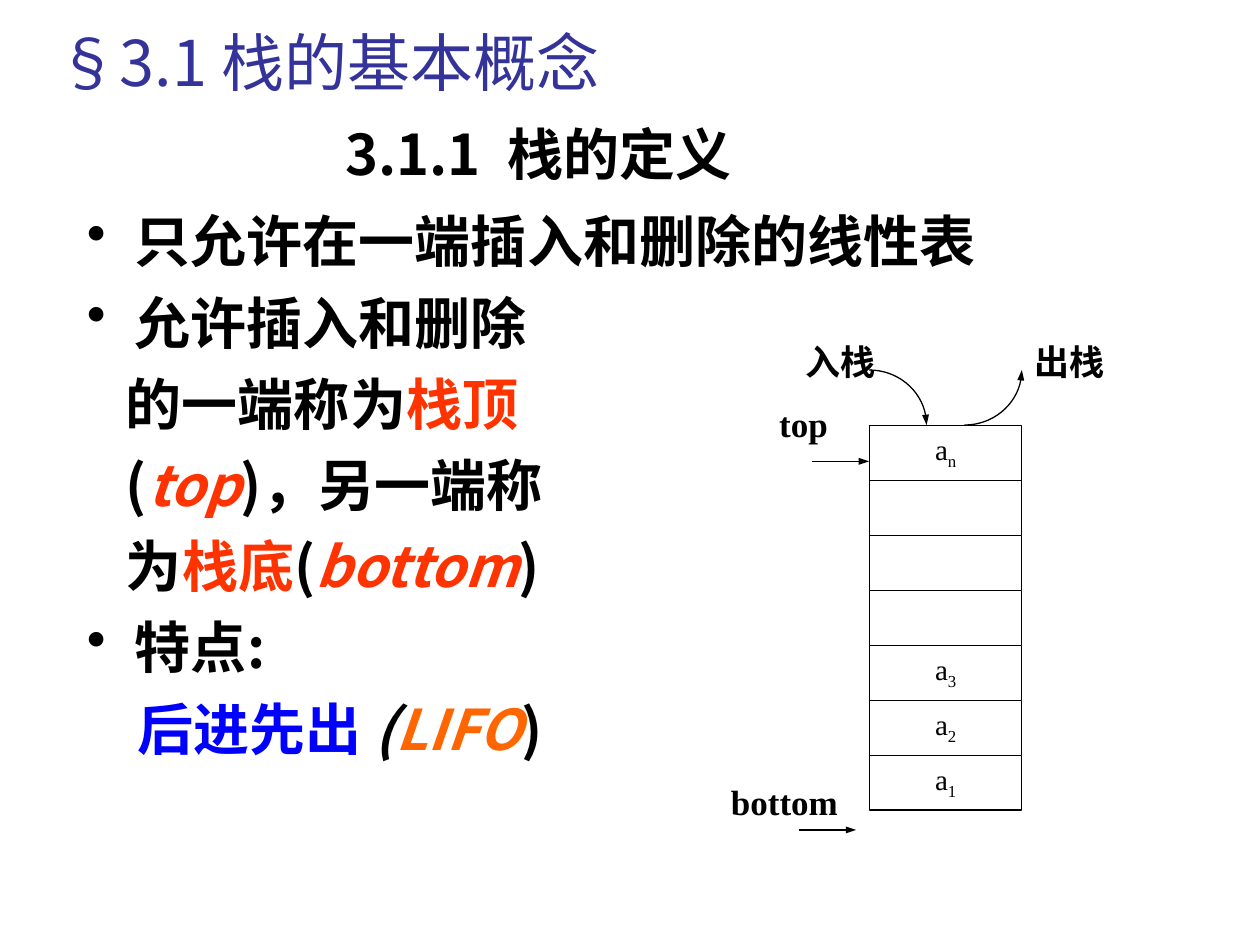
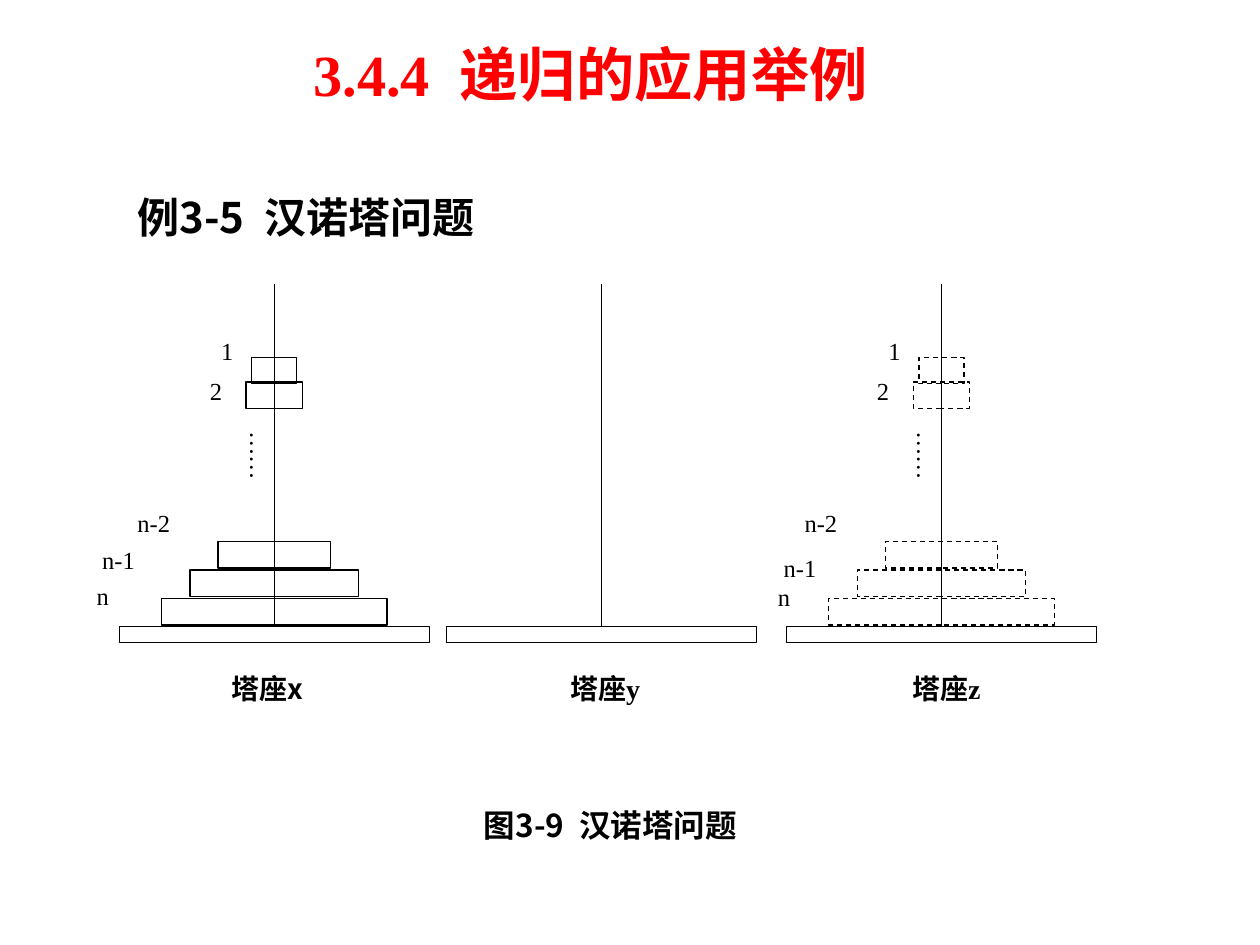
import math
from dataclasses import dataclass
from typing import Optional

from lxml import etree
from pptx import Presentation
from pptx import util as u
from pptx.dml import color
from pptx.enum import dml, shapes, text
from pptx.oxml import ns

Cm, Pt = u.Cm, u.Pt
COLORS = {
    "black": "000000", "white": "FFFFFF", "title": "333399", "red": "FF0000",
    "term": "FF3300", "blue": "0000FF", "orange": "FF6600",
}
SANS, SANS_JP, SERIF = "Noto Sans CJK SC", "Noto Sans CJK JP", "Times New Roman"
LEFT, CENTER = text.PP_ALIGN.LEFT, text.PP_ALIGN.CENTER
TOP, MIDDLE, BOTTOM = text.MSO_ANCHOR.TOP, text.MSO_ANCHOR.MIDDLE, text.MSO_ANCHOR.BOTTOM
PADDED, FLUSH = (0.25, 0.13), (0, 0)


@dataclass(frozen=True)
class Box:
    left: float
    top: float
    width: float
    height: float

    def emu(self) -> tuple:
        return Cm(self.left), Cm(self.top), Cm(self.width), Cm(self.height)


@dataclass(frozen=True)
class Style:
    size: float
    font: str = SERIF
    color: str = "black"
    bold: bool = False


@dataclass(frozen=True)
class Piece:
    words: str
    color: Optional[str] = None
    italic: bool = False
    subscript: bool = False
    tracking: float = 0


@dataclass(frozen=True)
class Line:
    pieces: tuple
    align: int = LEFT
    margin: float = 0
    bullet: bool = False
    before: float = 0
    spacing: Optional[float] = None


@dataclass(frozen=True)
class Disc:
    width: float
    top: float


@dataclass(frozen=True)
class Label:
    words: str
    offset: float
    top: float


@dataclass(frozen=True)
class Tower:
    center: float
    caption: str
    caption_box: Box
    caption_font: str = SERIF
    caption_align: int = CENTER
    labels: tuple = ()
    dashed: bool = False


def plain(words: str, **layout) -> tuple:
    return (Line((Piece(words),), **layout),)


def numbered(number: str, words: str, style: Style, **layout) -> tuple:
    gap = Piece(" ", tracking=style.size / 4)
    return (Line((Piece(number), gap, Piece(words)), **layout),)


def rgb(name: str) -> color.RGBColor:
    return color.RGBColor.from_string(COLORS[name])


def add_piece(paragraph, piece: Piece, style: Style) -> None:
    run = paragraph.add_run()
    run.text = piece.words
    run.font.size = Pt(style.size)
    run.font.name = style.font
    run.font.bold = style.bold
    run.font.italic = piece.italic
    run.font.color.rgb = rgb(piece.color or style.color)
    props = run._r.get_or_add_rPr()
    asian = etree.SubElement(props, ns.qn("a:ea"))
    asian.set("typeface", SANS if style.font == SERIF else style.font)
    if piece.subscript:
        props.set("baseline", "-25000")
    if piece.tracking:
        props.set("spc", str(round(piece.tracking * 100)))


def write(shape, lines: tuple, style: Style, anchor=TOP, inset=PADDED) -> None:
    frame = shape.text_frame
    frame.word_wrap = True
    frame.vertical_anchor = anchor
    frame.margin_left = frame.margin_right = Cm(inset[0])
    frame.margin_top = frame.margin_bottom = Cm(inset[1])
    for index, line in enumerate(lines):
        paragraph = frame.add_paragraph() if index else frame.paragraphs[0]
        paragraph.alignment = line.align
        props = paragraph._p.get_or_add_pPr()
        props.set("marL", str(Cm(line.margin)))
        props.set("indent", str(-Cm(line.margin) if line.bullet else 0))
        if line.bullet:
            etree.SubElement(props, ns.qn("a:buChar")).set("char", "•")
        else:
            etree.SubElement(props, ns.qn("a:buNone"))
        if line.spacing:
            paragraph.line_spacing = line.spacing
        paragraph.space_before = Pt(line.before if index else 0)
        for piece in line.pieces:
            add_piece(paragraph, piece, style)


def add_text(slide, box: Box, lines: tuple, style: Style, anchor=TOP, inset=PADDED):
    textbox = slide.shapes.add_textbox(*box.emu())
    write(textbox, lines, style, anchor, inset)
    return textbox


def outline(shape, dashed: bool = False) -> None:
    shape.line.color.rgb = rgb("black")
    shape.line.width = Pt(0.75)
    if dashed:
        shape.line.dash_style = dml.MSO_LINE.DASH


def add_block(slide, box: Box, kind=shapes.MSO_SHAPE.RECTANGLE, filled=False,
              lined=True, dashed=False):
    block = slide.shapes.add_shape(kind, *box.emu())
    block.shadow.inherit = False
    if filled:
        block.fill.solid()
        block.fill.fore_color.rgb = rgb("white")
    else:
        block.fill.background()
    if lined:
        outline(block, dashed)
    else:
        block.line.fill.background()
    return block


def add_arrowhead(shape) -> None:
    tail = etree.SubElement(shape.line._get_or_add_ln(), ns.qn("a:tailEnd"))
    tail.set("type", "triangle")
    tail.set("w", "sm")
    tail.set("len", "med")


def add_line(slide, start: tuple, end: tuple, arrow: bool = False):
    ends = [Cm(value) for value in (*start, *end)]
    line = slide.shapes.add_connector(shapes.MSO_CONNECTOR.STRAIGHT, *ends)
    outline(line)
    if arrow:
        add_arrowhead(line)
    etree.SubElement(line._element.spPr, ns.qn("a:effectLst"))
    return line


def add_curved_arrow(slide, center: tuple, radii: tuple, first: int, last: int) -> None:
    steps = 18
    angles = [math.radians(first + (last - first) * i / steps) for i in range(steps + 1)]
    points = [(Cm(center[0] + radii[0] * math.cos(a)), Cm(center[1] + radii[1] * math.sin(a)))
              for a in angles]
    builder = slide.shapes.build_freeform(*points[0])
    builder.add_line_segments(points[1:], close=False)
    curve = builder.convert_to_shape()
    curve.fill.background()
    outline(curve)
    add_arrowhead(curve)
    curve.shadow.inherit = False


def add_stack(slide) -> None:
    contents = ("n", "", "", "", "3", "2", "1")
    left, top, width, height = 17.53, 8.58, 3.07, 7.75
    pitch = height / len(contents)
    for row, subscript in enumerate(contents):
        cell = add_block(slide, Box(left, top + row * pitch, width, pitch),
                         shapes.MSO_SHAPE.FLOWCHART_PROCESS, filled=True)
        if subscript:
            pieces = (Piece("a"), Piece(subscript, subscript=True))
            write(cell, (Line(pieces, align=CENTER, spacing=0.9),), Style(16.6))

    marker = Style(20, bold=True)
    for words, box, inset, align in (
        ("top", Box(15.3, 8.12, 1.8, 0.94), FLUSH, CENTER),
        ("bottom", Box(14.71, 15.73, 2.21, 0.94), FLUSH, CENTER),
        ("入栈", Box(15.98, 6.73, 2.69, 1.12), PADDED, LEFT),
        ("出栈", Box(20.6, 6.73, 2.69, 1.12), PADDED, LEFT),
    ):
        add_text(slide, box, plain(words, align=align), marker, inset=inset)
    for start, y in ((16.36, 9.3), (16.1, 16.73)):
        add_line(slide, (start, y), (start + 1.16, y), arrow=True)
    radii = (1.16, 1.11)
    add_curved_arrow(slide, (17.52, 8.57), radii, -90, 0)
    add_curved_arrow(slide, (19.44, 7.46), radii, 90, 0)


def build_stack_slide(slide) -> None:
    add_text(slide, Box(0.9, 0.23, 21.59, 1.9), plain("§3.1 栈的基本概念"),
             Style(36, SANS, "title"), BOTTOM)
    bulleted = dict(margin=0.97, bullet=True, before=8)
    continued = dict(margin=0.79, before=8)
    definition = (
        Line((Piece("只允许在一端插入和删除的线性表"),), **bulleted),
        Line((Piece("允许插入和删除"),), **bulleted),
        Line((Piece("的一端称为"), Piece("栈顶", "term")), **continued),
        Line((Piece("("), Piece("top", "term", italic=True), Piece(")，另一端称")), **continued),
        Line((Piece("为"), Piece("栈底", "term"), Piece("("),
              Piece("bottom", "term", italic=True), Piece(")")), **continued),
        Line((Piece("特点:"),), **bulleted),
        Line((Piece("后进先出 ", "blue"), Piece("(", italic=True),
              Piece("LIFO", "orange", italic=True), Piece(")")), margin=1.02, before=8),
    )
    heading = Style(32, SANS, bold=True)
    body = add_block(slide, Box(1.5, 4.04, 22.23, 12.7), filled=True, lined=False)
    write(body, definition, heading)
    add_text(slide, Box(6.71, 2.24, 14.4, 1.7), numbered("3.1.1", "栈的定义", heading),
             heading, MIDDLE)
    add_stack(slide)


DISCS = (Disc(0.91, 7.21), Disc(1.14, 7.7), Disc(2.27, 10.92), Disc(3.4, 11.49),
         Disc(4.55, 12.07))
SHARED_LABELS = (Label("1", -1.07, 6.78), Label("2", -1.3, 7.58), Label("n-2", -2.76, 10.24))
TOWERS = (
    Tower(5.53, "塔座x", Box(4.67, 13.54, 1.8, 0.99), SANS, LEFT,
          SHARED_LABELS + (Label("n-1", -3.47, 10.99), Label("n", -3.58, 11.71))),
    Tower(12.13, "塔座y", Box(11.3, 13.54, 1.8, 0.99)),
    Tower(18.98, "塔座z", Box(18, 13.54, 2.16, 0.99), dashed=True,
          labels=SHARED_LABELS + (Label("n-1", -3.18, 11.15), Label("n", -3.3, 11.73))),
)


def add_tower(slide, tower: Tower) -> None:
    base_width, base_top = 6.25, 12.63
    base = add_block(slide, Box(tower.center - base_width / 2, base_top, base_width, 0.33))
    pole = add_line(slide, (tower.center, 5.72), (tower.center, base_top))
    pole.end_connect(base, 0)
    small = Style(14)
    if tower.labels:
        for disc in DISCS:
            add_block(slide, Box(tower.center - disc.width / 2, disc.top, disc.width, 0.53),
                      dashed=tower.dashed)
        dots = add_text(slide, Box(tower.center - 0.57, 8.69, 0.71, 1.98),
                        plain("……", align=CENTER), small, inset=(0.13, 0))
        dots.text_frame._txBody.bodyPr.set("vert", "eaVert")
    for label in tower.labels:
        add_text(slide, Box(tower.center + label.offset, label.top, 1.07, 0.99),
                 plain(label.words), small, inset=FLUSH)
    add_text(slide, tower.caption_box, plain(tower.caption, align=tower.caption_align),
             Style(16, tower.caption_font, bold=True), inset=FLUSH)


def build_hanoi_slide(slide) -> None:
    example = Style(24, SANS_JP, bold=True)
    add_text(slide, Box(2.52, 3.73, 7.4, 1.27), numbered("例3-5", "汉诺塔问题", example),
             example, MIDDLE)
    for tower in TOWERS:
        add_tower(slide, tower)
    figure = Style(18, SANS, bold=True)
    add_text(slide, Box(9.04, 16.12, 6.53, 1.02),
             numbered("图3-9", "汉诺塔问题", figure, align=CENTER), figure, MIDDLE)
    heading = Style(33.3, color="red", bold=True)
    add_text(slide, Box(1.09, 0.72, 21.64, 1.52),
             numbered("3.4.4", "递归的应用举例", heading, align=CENTER, spacing=0.9),
             heading, BOTTOM, (0.25, 0.03))


def main() -> None:
    deck = Presentation()
    deck.slide_width, deck.slide_height = Cm(25.4), Cm(19.05)
    for build in (build_stack_slide, build_hanoi_slide):
        build(deck.slides.add_slide(deck.slide_layouts[6]))
    deck.save("out.pptx")


if __name__ == "__main__":
    main()
